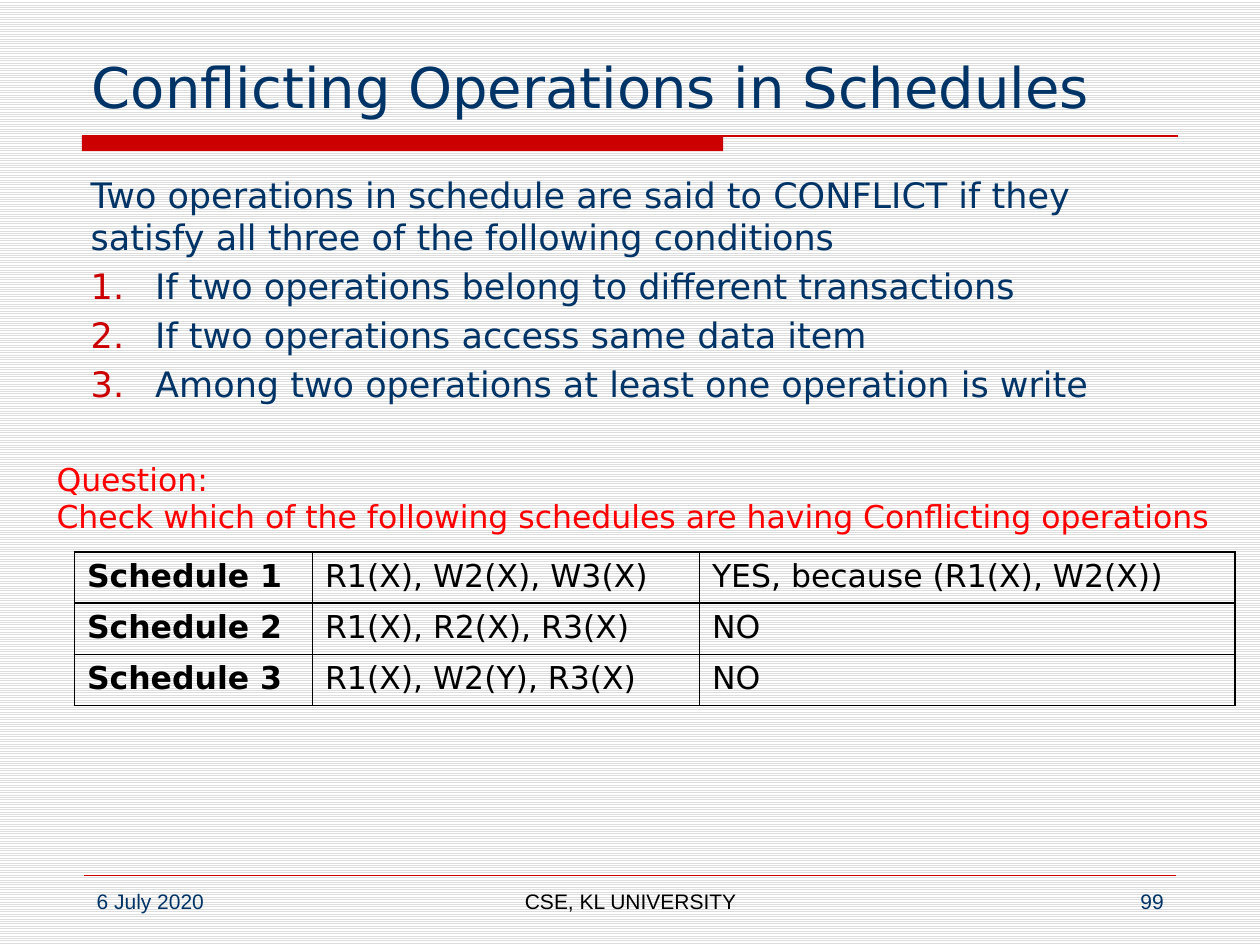
from lxml.etree import SubElement
from pptx import Presentation
from pptx.dml.color import RGBColor
from pptx.enum.dml import MSO_PATTERN
from pptx.enum.shapes import MSO_CONNECTOR, MSO_SHAPE
from pptx.enum.text import MSO_ANCHOR as Anchor, MSO_AUTO_SIZE as AutoSize, PP_ALIGN as Align
from pptx.oxml.ns import qn
from pptx.util import Cm, Pt

NAVY, RED, BRIGHT_RED, BLACK = "003366", "CC0000", "FF0000", "000000"
SANS, FOOTER_FONT = "DejaVu Sans", "Arial"

TITLE = "Conflicting Operations in Schedules"
INTRO = ("Two operations in schedule are said to CONFLICT if they "
         "satisfy all three of the following conditions")
CONDITIONS = [
    "If two operations belong to different transactions",
    "If two operations access same data item",
    "Among two operations at least one operation is write",
]
QUESTION = ["Question:",
            "Check which of the following schedules are having Conflicting operations"]
SCHEDULES = [
    ("Schedule 1", "R1(X), W2(X), W3(X)", "YES, because (R1(X), W2(X))"),
    ("Schedule 2", "R1(X), R2(X), R3(X)", "NO"),
    ("Schedule 3", "R1(X), W2(Y), R3(X)", "NO"),
]
COLUMN_WIDTHS = [4.8, 7.8, 10.8]
ROW_HEIGHT = 1.03
FOOTERS = [
    ("6 July 2020", 1.7, 5.5, Align.LEFT, NAVY),
    ("CSE, KL UNIVERSITY", 8.69, 8.05, Align.CENTER, BLACK),
    ("99", 18.21, 5.5, Align.RIGHT, NAVY),
]


def rgb(code):
    return RGBColor.from_string(code)


def style(paragraph, size, color, font=SANS, bold=False):
    paragraph.font.size = Pt(size)
    paragraph.font.name = font
    paragraph.font.bold = bold
    paragraph.font.color.rgb = rgb(color)


def add_text(slide, box, lines, size, color, font=SANS, align=Align.LEFT, wrap=True):
    frame = slide.shapes.add_textbox(*map(Cm, box)).text_frame
    frame.word_wrap = wrap
    frame.text = "\n".join(lines)
    for paragraph in frame.paragraphs:
        paragraph.alignment = align
        style(paragraph, size, color, font)
    return frame


def number(paragraph):
    properties = paragraph._p.get_or_add_pPr()
    properties.set("marL", str(Cm(1.3)))
    properties.set("indent", str(-Cm(1.3)))
    bullet_color = SubElement(properties, qn("a:buClr"))
    SubElement(bullet_color, qn("a:srgbClr"), val=RED)
    SubElement(properties, qn("a:buAutoNum"), type="arabicPeriod")


def add_rule(slide, left, right, y, width):
    rule = slide.shapes.add_connector(MSO_CONNECTOR.STRAIGHT, Cm(left), Cm(y), Cm(right), Cm(y))
    rule.line.color.rgb = rgb(RED)
    rule.line.width = Pt(width)
    SubElement(rule._element.spPr, qn("a:effectLst"))


def add_borders(cell):
    properties = cell._tc.get_or_add_tcPr()
    for side in ("a:lnL", "a:lnR", "a:lnT", "a:lnB"):
        border = SubElement(properties, qn(side), w=str(Pt(1)))
        fill = SubElement(border, qn("a:solidFill"))
        SubElement(fill, qn("a:srgbClr"), val=BLACK)


def add_schedules(slide):
    table = slide.shapes.add_table(
        len(SCHEDULES), len(COLUMN_WIDTHS), Cm(1.5), Cm(11.13),
        Cm(sum(COLUMN_WIDTHS)), Cm(ROW_HEIGHT * len(SCHEDULES))).table
    table.first_row = table.horz_banding = False
    for column, width in zip(table.columns, COLUMN_WIDTHS):
        column.width = Cm(width)
    for row, texts in zip(table.rows, SCHEDULES):
        row.height = Cm(ROW_HEIGHT)
        for index, (cell, text) in enumerate(zip(row.cells, texts)):
            cell.text = text
            style(cell.text_frame.paragraphs[0], 18, BLACK, bold=index == 0)
            add_borders(cell)
            cell.fill.background()


def main():
    deck = Presentation()
    deck.slide_width, deck.slide_height = Cm(25.4), Cm(19.05)
    slide = deck.slides.add_slide(deck.slide_layouts[6])

    backdrop = slide.background.fill
    backdrop.patterned()
    backdrop.pattern = MSO_PATTERN.LIGHT_HORIZONTAL
    backdrop.fore_color.rgb = rgb("DDDDDD")
    backdrop.back_color.rgb = rgb("FFFFFF")

    title_bar = slide.shapes.add_shape(MSO_SHAPE.RECTANGLE, Cm(1.65), Cm(2.74), Cm(12.93), Cm(0.31))
    title_bar.shadow.inherit = False
    title_bar.fill.solid()
    title_bar.fill.fore_color.rgb = rgb(RED)
    title_bar.line.fill.background()
    add_rule(slide, 1.65, 23.75, 2.74, 0.75)
    add_rule(slide, 1.7, 23.7, 17.65, 0.25)

    title = add_text(slide, (1.6, 0.43, 22.23, 2.11), [TITLE], 32, NAVY)
    title.vertical_anchor = Anchor.BOTTOM

    body = add_text(slide, (1.58, 3.38, 22.23, 13.97), [INTRO, *CONDITIONS], 20, NAVY)
    for condition in body.paragraphs[1:]:
        number(condition)
        condition.space_before = Pt(4)

    for text, left, width, align, color in FOOTERS:
        add_text(slide, (left, 17.78, width, 0.89), [text], 12, color, FOOTER_FONT, align)

    add_schedules(slide)
    question = add_text(slide, (0.89, 9.14, 23.77, 1.8), QUESTION, 18, BRIGHT_RED, wrap=False)
    question.auto_size = AutoSize.SHAPE_TO_FIT_TEXT

    deck.save("out.pptx")


if __name__ == "__main__":
    main()
